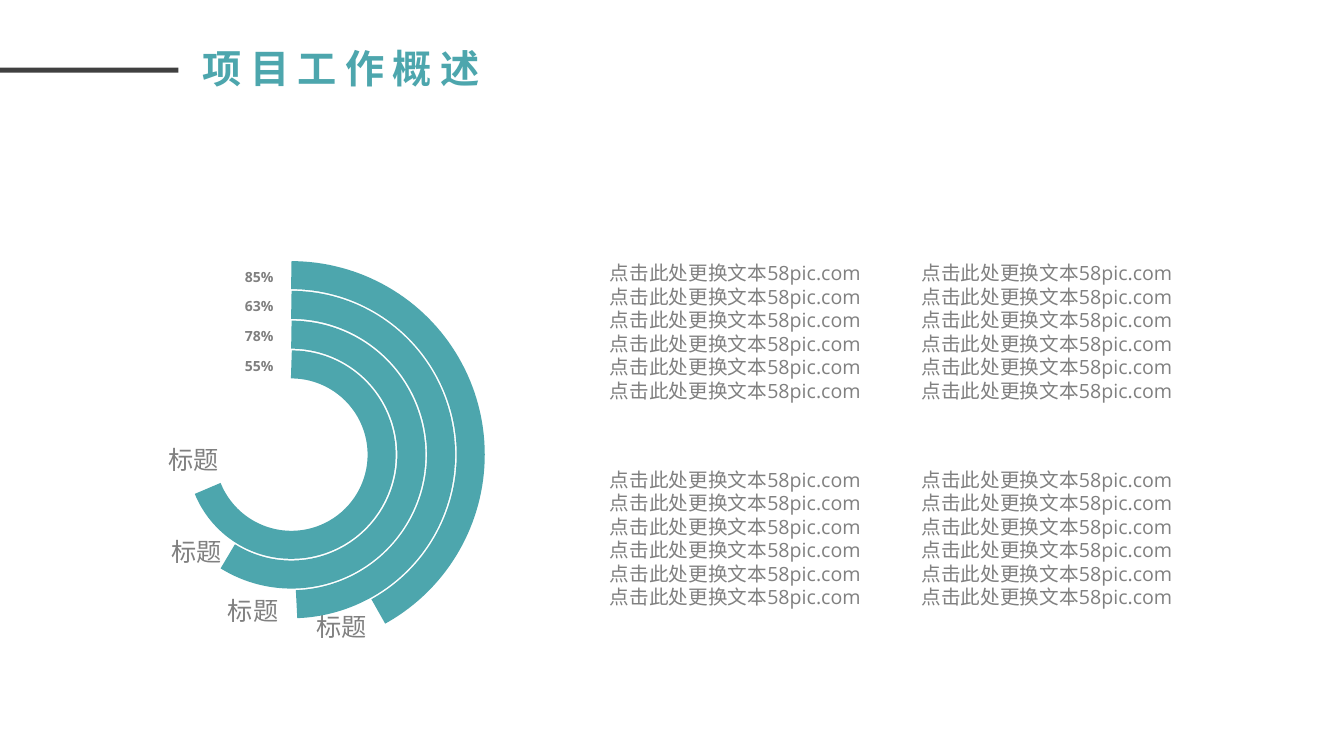
from lxml import etree
from pptx import Presentation
from pptx.dml.color import RGBColor
from pptx.enum.shapes import MSO_SHAPE
from pptx.enum.text import MSO_AUTO_SIZE, PP_ALIGN
from pptx.oxml.ns import qn
from pptx.util import Inches, Pt

RECTANGLE, ARC = MSO_SHAPE.RECTANGLE, MSO_SHAPE.ARC
GROW = MSO_AUTO_SIZE.SHAPE_TO_FIT_TEXT
LEFT, CENTER = PP_ALIGN.LEFT, PP_ALIGN.CENTER
TEAL = RGBColor(0x4D, 0xA6, 0xAD)
GRAY = RGBColor(0x80, 0x80, 0x80)
DARK = RGBColor(0x40, 0x40, 0x40)
LATIN_FONT = "Open Sans"
CHINESE_FONT = "Noto Sans CJK SC"

presentation = Presentation()
presentation.slide_width = Inches(13.33)
presentation.slide_height = Inches(7.5)
slide = presentation.slides.add_slide(presentation.slide_layouts[6])


def add_text(box, lines, size, color=GRAY, bold=False, wrap=True,
             align=LEFT, tracking=0):
    """Place lines of text in a box given as left, top, width, height."""
    shape = slide.shapes.add_textbox(*map(Inches, box))
    frame = shape.text_frame
    frame.word_wrap = wrap
    frame.auto_size = GROW
    frame.margin_left = frame.margin_right = Inches(0.05)
    frame.margin_top = frame.margin_bottom = Inches(0.05)
    for index, line in enumerate(lines):
        paragraph = frame.add_paragraph() if index else frame.paragraphs[0]
        paragraph.alignment = align
        run = paragraph.add_run()
        run.text = line
        run.font.size = Pt(size)
        run.font.bold = bold
        run.font.color.rgb = color
        run.font.name = LATIN_FONT
        properties = run.font._element
        etree.SubElement(properties, qn("a:ea")).set("typeface", CHINESE_FONT)
        if tracking:
            properties.set("spc", str(tracking * 100))


# Title with its rule
rule = slide.shapes.add_shape(RECTANGLE, 0, Inches(0.67), Inches(1.77), Inches(0.05))
rule.shadow.inherit = False
rule.fill.solid()
rule.fill.fore_color.rgb = DARK
rule.line.fill.background()
add_text((1.77, 0.39, 3.23, 0.66), ["项目工作概述"], 28, TEAL, bold=True,
         align=CENTER, tracking=6)

# Text blocks, two columns by two rows
for top in (2.54, 4.59):
    for left in (6, 9.09):
        add_text((left, top, 3.09, 1.99), ["点击此处更换文本58pic.com"] * 6, 14)

# Concentric arcs, clockwise from twelve o'clock, with percentage and label
CENTER_X, CENTER_Y = 2.89, 4.51
OUTER_RADIUS, RING_STEP = 1.78, 0.295
ARC_UNITS_PER_DEGREE = 0.6
TWELVE_OCLOCK = 270
rings = [
    ("85%", 151, (3.09, 6.02)),
    ("63%", 178, (2.21, 5.86)),
    ("78%", 212, (1.65, 5.27)),
    ("55%", 248, (1.62, 4.36)),
]
for index, (percentage, sweep, label_place) in enumerate(rings):
    radius = OUTER_RADIUS - index * RING_STEP
    arc = slide.shapes.add_shape(
        ARC, Inches(CENTER_X - radius), Inches(CENTER_Y - radius),
        Inches(2 * radius), Inches(2 * radius))
    arc.adjustments[0] = TWELVE_OCLOCK * ARC_UNITS_PER_DEGREE
    arc.adjustments[1] = (TWELVE_OCLOCK + sweep) % 360 * ARC_UNITS_PER_DEGREE
    arc.shadow.inherit = False
    arc.fill.background()
    arc.line.color.rgb = TEAL
    arc.line.width = Pt(20)
    add_text((2.38, 2.61 + index * RING_STEP, 0.39, 0.27), [percentage], 10,
             bold=True, wrap=False)
    add_text((*label_place, 0.61, 0.45), ["标题"], 18, wrap=False)

presentation.save("out.pptx")
